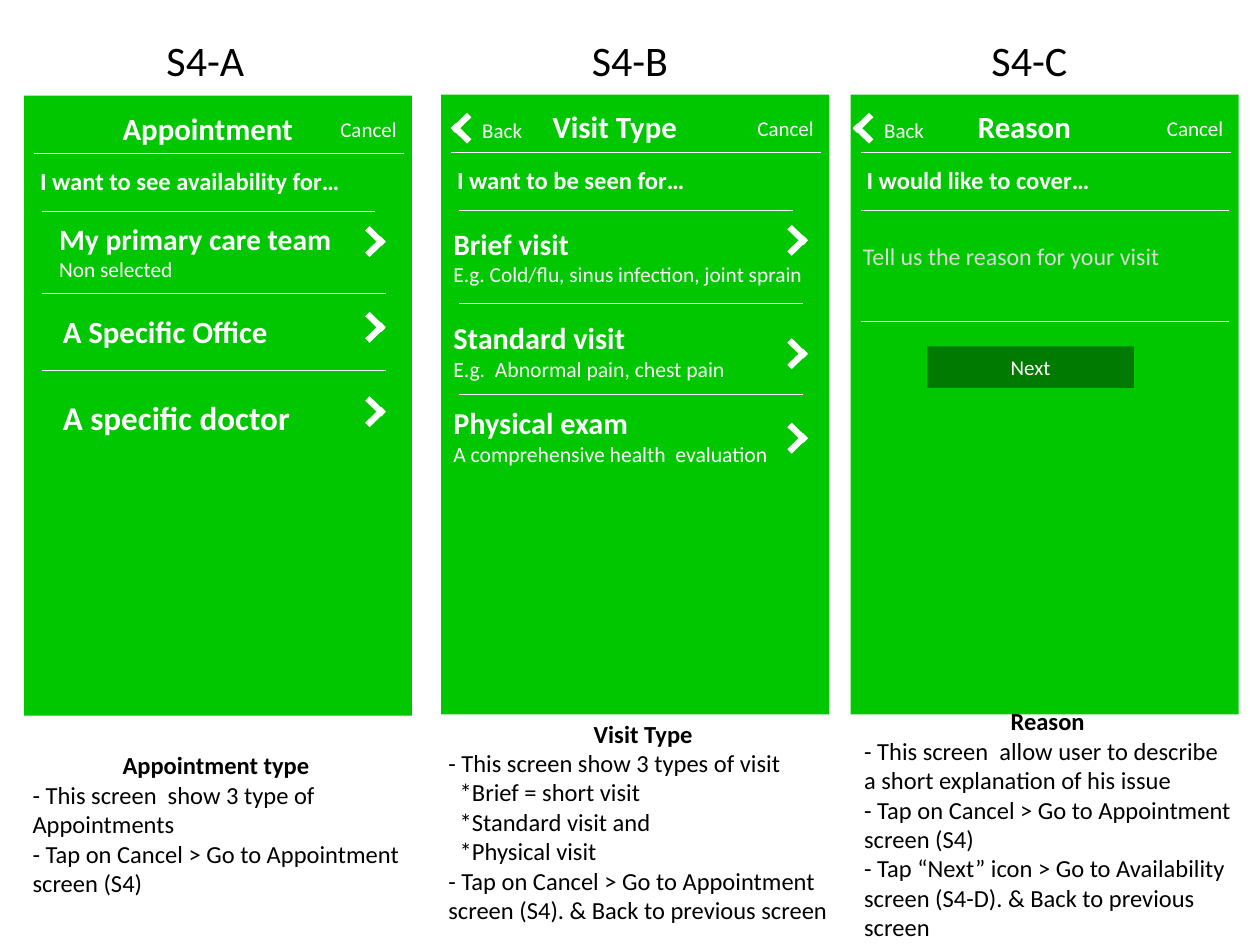
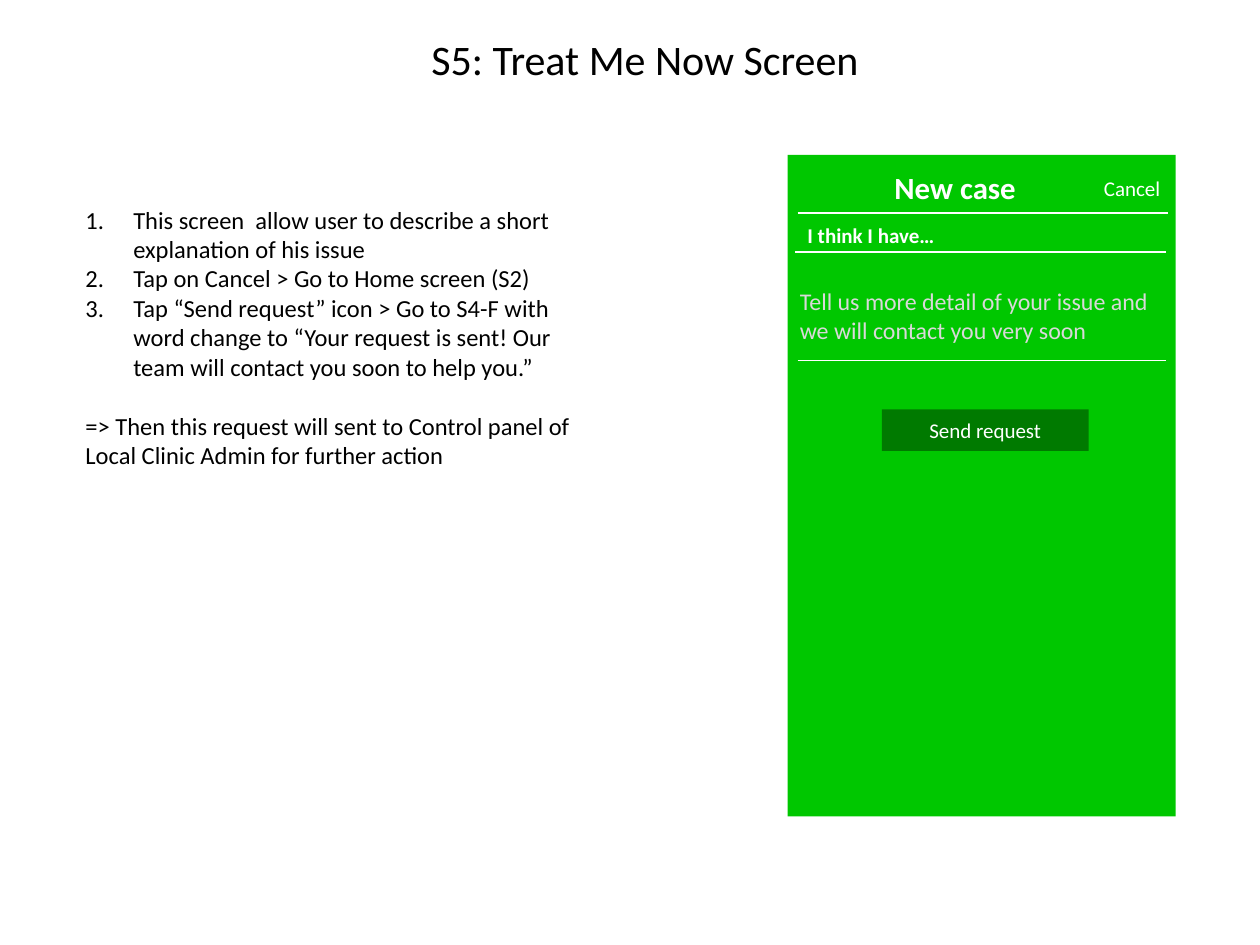
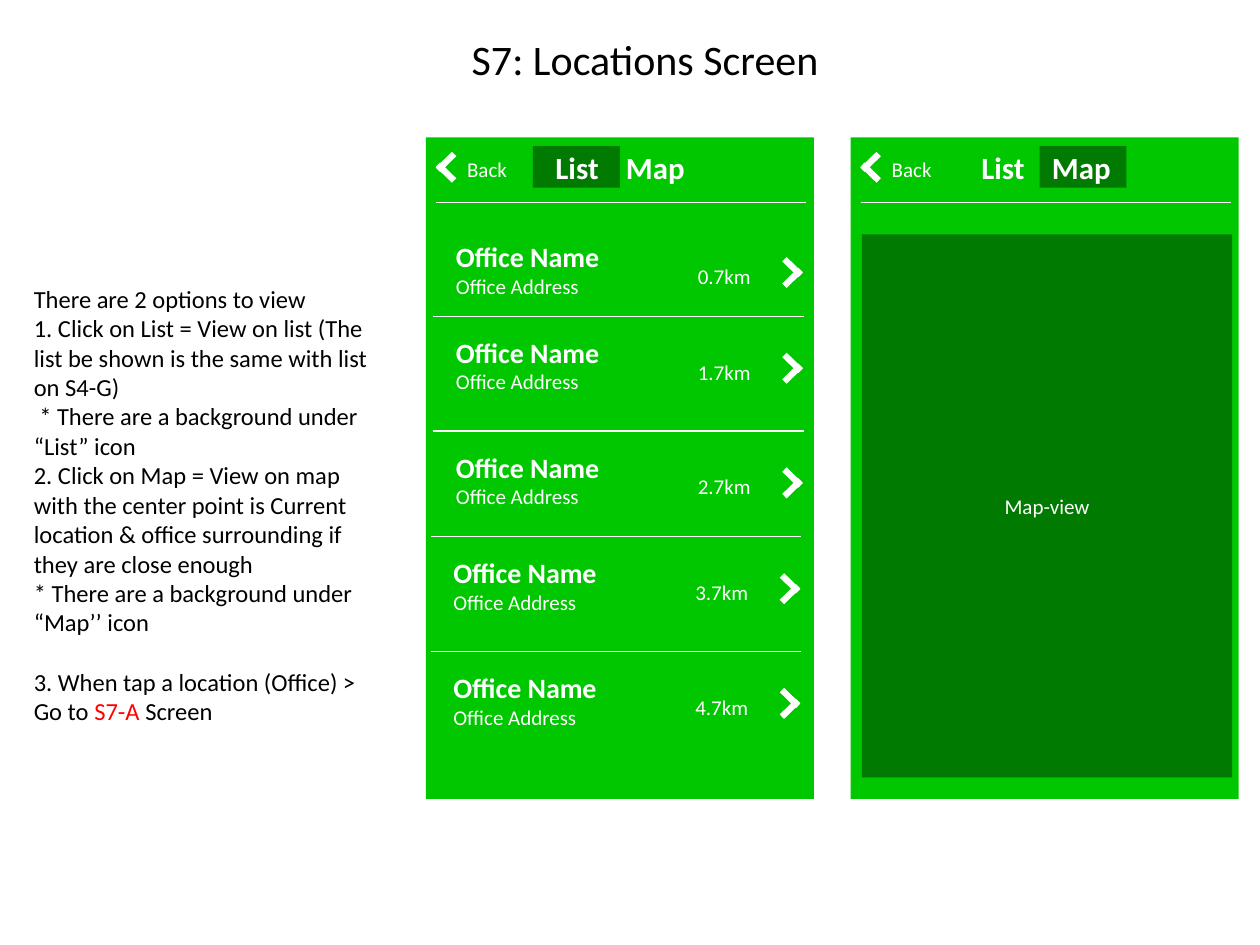
from lxml import etree
from pptx import Presentation
from pptx import util as u
from pptx.dml.color import RGBColor
from pptx.enum import shapes, text
from pptx.oxml import ns

GREEN = RGBColor(0x00, 0xC7, 0x00)
DARK_GREEN = RGBColor(0x00, 0x7A, 0x00)
WHITE = RGBColor(0xFF, 0xFF, 0xFF)
GREY = RGBColor(0xD9, 0xD9, 0xD9)
BLACK = RGBColor(0x00, 0x00, 0x00)
RED = RGBColor(0xFF, 0x00, 0x00)

CENTER = text.PP_ALIGN.CENTER
SCREEN_WIDTH = 3.08
RULE_WIDTH = 2.94
TILT = 44.3

PAGE_TITLE = dict(size=24, color=BLACK)
NOTE = dict(size=14, color=BLACK)
NOTE_HEADING = dict(NOTE, bold=True)
SMALL = dict(size=12, color=WHITE)
SCREEN_TITLE = dict(size=17.6, color=WHITE, bold=True)
PROMPT = dict(size=14, color=WHITE, bold=True)
HINT = dict(size=13.7, color=GREY)
OFFICE = dict(size=16, color=WHITE, bold=True)


def inches(*lengths):
    """Convert numbers to inch lengths."""
    return [u.Inches(length) for length in lengths]


def add_run(paragraph, words, size, color, **style):
    """Append a run in the deck font."""
    run = paragraph.add_run()
    run.text = words
    font_values = dict(name="Calibri", size=u.Pt(size), **style)
    for key, value in font_values.items():
        setattr(run.font, key, value)
    run.font.color.rgb = color


def write(frame, lines, align=None):
    """Fill a middle-anchored frame with (words, font) lines."""
    frame_values = dict(word_wrap=True, vertical_anchor=text.MSO_ANCHOR.MIDDLE)
    for key, value in frame_values.items():
        setattr(frame, key, value)
    for index, (words, font) in enumerate(lines):
        paragraph = frame.add_paragraph() if index else frame.paragraphs[0]
        paragraph.alignment = align
        add_run(paragraph, words, **font)


def label(slide, at, *lines, align=None):
    """Add a text box and return its paragraphs."""
    frame = slide.shapes.add_textbox(*inches(*at)).text_frame
    write(frame, lines, align)
    return frame.paragraphs


def block(slide, at, color, caption=None, rotation=0):
    """Add a plain filled rectangle with an optional caption."""
    rectangle = slide.shapes.add_shape(shapes.MSO_SHAPE.RECTANGLE, *inches(*at))
    rectangle.shadow.inherit = False
    rectangle.rotation = rotation
    rectangle.fill.solid()
    rectangle.fill.fore_color.rgb = color
    rectangle.line.fill.background()
    if caption:
        write(rectangle.text_frame, [(caption, SMALL)], CENTER)


def rule(slide, left, top, width=RULE_WIDTH, weight=0.75):
    """Draw a horizontal white separator."""
    separator = slide.shapes.add_connector(
        shapes.MSO_CONNECTOR.STRAIGHT, *inches(left, top, left + width, top))
    separator.line.color.rgb = WHITE
    separator.line.width = u.Pt(weight)
    etree.SubElement(separator._element.spPr, ns.qn("a:effectLst"))


def chevron(slide, left, top, points_right=True):
    """Build an arrow tip from two tilted bars."""
    upper = TILT if points_right else 360 - TILT
    for drop, rotation in ((0, upper), (0.085, 360 - upper)):
        block(slide, (left, top + drop, 0.18, 0.05), WHITE, rotation=rotation)


def page_title(slide, words, left=2.58, top=0.24, width=5.08):
    """Add the heading above a page or a screen."""
    label(slide, (left, top, width, 0.45), (words, PAGE_TITLE), align=CENTER)


def screen(slide, left, top, height, rule_drop=0.46):
    """Draw a phone screen and its header rule."""
    block(slide, (left, top, SCREEN_WIDTH, height), GREEN)
    rule(slide, left + 0.08, top + rule_drop)


def cancel(slide, left, top):
    """Add the Cancel action of a screen."""
    label(slide, (left + 2.39, top + 0.13, 0.69, 0.27), ("Cancel", SMALL), align=CENTER)


def back(slide, left, top):
    """Add the Back action with its arrow tip."""
    label(slide, (left, top, 0.69, 0.27), ("Back", SMALL), align=CENTER)
    chevron(slide, left - 0.07, top + 0.05, points_right=False)


def option(slide, left, top, width, name, size, detail=None, detail_size=12.2):
    """Add a choice with an optional detail line."""
    lines = [(name, dict(size=size, color=WHITE, bold=True))]
    if detail:
        lines.append((detail, dict(size=detail_size, color=WHITE)))
    label(slide, (left, top, width, 0.53), *lines)


def note(slide, at, heading, *lines):
    """Describe a screen below it."""
    paragraphs = label(slide, at, (heading, NOTE_HEADING), *((line, NOTE) for line in lines))
    paragraphs[0].alignment = CENTER
    for paragraph in paragraphs:
        if paragraph.text.startswith("*"):
            paragraph._p.get_or_add_pPr().set("marL", str(u.Inches(0.09)))


def number(paragraph):
    """Turn a paragraph into a numbered item."""
    properties = paragraph._p.get_or_add_pPr()
    for key, indent in dict(marL=0.38, indent=-0.38).items():
        properties.set(key, str(u.Inches(indent)))
    etree.SubElement(properties, ns.qn("a:buAutoNum"), type="arabicPeriod")


def view_tabs(slide, left, highlight_left):
    """Add the List and Map tabs with one highlighted."""
    block(slide, (highlight_left, 1.16, 0.69, 0.33), DARK_GREEN)
    paragraph, = label(slide, (left, 1.11, 1.58, 0.43), ("List\tMap", SCREEN_TITLE))
    stops = etree.SubElement(paragraph._p.get_or_add_pPr(), ns.qn("a:tabLst"))
    etree.SubElement(stops, ns.qn("a:tab"), pos=str(u.Inches(0.56)), algn="l")


def office(slide, left, top, distance):
    """Add one office of the location list."""
    label(slide, (left, top, 2.67, 0.75), ("Office Name", OFFICE), ("Office Address", SMALL))
    label(slide, (left + 1.92, top + 0.28, 0.7, 0.3), (distance, SMALL))
    chevron(slide, left + 2.68, top + 0.335)


def appointment_slide(slide):
    """Build the three appointment screens."""
    screens = (
        ("S4-A", 1.13, 0.19, 0.76, "Appointment", 0.86, 1.58, "I want to see availability for…"),
        ("S4-B", 4.5, 3.5, 0.75, "Visit Type", 3.92, 1.92, "I want to be seen for…"),
        ("S4-C", 7.67, 6.75, 0.75, "Reason", 7.17, 1.92, "I would like to cover…"),
    )
    for code, code_left, left, top, title, title_left, title_width, prompt in screens:
        page_title(slide, code, code_left, 0.25, 1)
        screen(slide, left, top, 4.92)
        cancel(slide, left, top)
        label(slide, (title_left, top + 0.04, title_width, 0.43), (title, SCREEN_TITLE), align=CENTER)
        label(slide, (left + 0.03, top + 0.54, 3.02, 0.27), (prompt, PROMPT))
    for left in (3.64, 6.83):
        back(slide, left, 0.9)

    for left, top, width in ((0.33, 1.68, 2.65), (0.33, 2.33, 2.73), (0.33, 2.94, 2.73),
                             (3.64, 1.67, 2.65), (3.64, 2.41, 2.73), (3.64, 3.13, 2.73),
                             (6.83, 1.67, 2.92), (6.83, 2.55, 2.92)):
        rule(slide, left, top, width, 0.25)
    for left, tops in ((2.89, (1.85, 2.53, 3.2)), (6.24, (1.84, 2.74, 3.41))):
        for top in tops:
            chevron(slide, left, top)

    option(slide, 0.37, 1.73, 2.52, "My primary care team", 16.9, "Non selected")
    option(slide, 0.4, 2.36, 2.1, "A Specific Office", 17.6)
    option(slide, 0.4, 3.05, 2.1, "A specific doctor", 18.9)
    option(slide, 3.5, 1.77, 3.02, "Brief visit", 16.9, "E.g. Cold/flu, sinus infection, joint sprain")
    option(slide, 3.5, 2.52, 2.94, "Standard visit", 17.3, "E.g.  Abnormal pain, chest pain", 12.4)
    option(slide, 3.5, 3.19, 2.94, "Physical exam", 17.3, "A comprehensive health  evaluation", 12.4)
    label(slide, (6.75, 1.77, 3.02, 0.53), ("Tell us the reason for your visit", HINT))
    block(slide, (7.36, 2.75, 1.64, 0.33), DARK_GREEN, "Next")

    note(slide, (0.16, 5.75, 3.11, 1.58), "Appointment type",
         "- This screen  show 3 type of Appointments",
         "- Tap on Cancel > Go to Appointment screen (S4)")
    note(slide, (3.46, 5.73, 3.29, 1.58), "Visit Type",
         "- This screen show 3 types of visit",
         "*Brief = short visit", "*Standard visit and", "*Physical visit",
         "- Tap on Cancel > Go to Appointment screen (S4). & Back to previous screen")
    note(slide, (6.76, 5.75, 3.11, 1.58), "Reason",
         "- This screen  allow user to describe a short explanation of his issue",
         "- Tap on Cancel > Go to Appointment screen (S4)",
         "- Tap “Next” icon > Go to Availability screen (S4-D). & Back to previous screen")


def treatment_slide(slide):
    """Build the new case screen and its steps."""
    page_title(slide, "S5: Treat Me Now Screen")
    screen(slide, 6.25, 1.23, 5.25)
    cancel(slide, 6.25, 1.23)
    label(slide, (7, 1.27, 1.58, 0.43), ("New case", SCREEN_TITLE))
    label(slide, (6.31, 1.73, 3.02, 0.27), ("I think I have…", dict(SMALL, bold=True)))
    rule(slide, 6.31, 2)
    label(slide, (6.25, 2.14, 3.02, 0.72),
          ("Tell us more detail of your issue and we will contact you very soon", HINT))
    rule(slide, 6.33, 2.86, 2.92, 0.25)
    block(slide, (7, 3.25, 1.64, 0.33), DARK_GREEN, "Send request")

    *steps, outcome = label(
        slide, (0.58, 1.35, 4.17, 2.65),
        ("This screen  allow user to describe a short explanation of his issue", NOTE),
        ("Tap on Cancel > Go to Home screen (S2)", NOTE),
        ("Tap “Send request” icon > Go to S4-F with word change to “Your request is sent! "
         "Our team will contact you soon to help you.”", NOTE),
        ("=> Then this request will sent to Control panel of Local Clinic Admin for further action", NOTE))
    for step in steps:
        number(step)
    outcome.space_before = u.Pt(17)


def locations_slide(slide):
    """Build the list and map views of the locations."""
    page_title(slide, "S7: Locations Screen")
    for left, back_left, tabs_left, highlight_left in ((3.38, 3.52, 4.31, 4.23),
                                                       (6.75, 6.89, 7.69, 8.25)):
        screen(slide, left, 1.09, 5.25, 0.52)
        back(slide, back_left, 1.21)
        view_tabs(slide, tabs_left, highlight_left)

    for index, (left, top) in enumerate(((3.52, 1.76), (3.52, 2.52), (3.52, 3.43),
                                         (3.5, 4.27), (3.5, 5.18))):
        office(slide, left, top, f"{index}.7km")
        if index:
            rule(slide, left - 0.08, top - 0.01)
    block(slide, (6.84, 1.86, 2.94, 4.31), DARK_GREEN, "Map-view")

    paragraphs = label(
        slide, (0.17, 1.09, 3, 5.83),
        ("There are 2 options to view", NOTE),
        ("1. Click on List = View on list (The list be shown is the same with list on S4-G)", NOTE),
        (" * There are a background under “List” icon", NOTE),
        ("2. Click on Map = View on map with the center point is Current location "
         "& office surrounding if they are close enough", NOTE),
        ("* There are a background under “Map’’ icon", NOTE),
        ("3. When tap a location (Office) > Go to ", NOTE))
    last_step = paragraphs[-1]
    last_step.space_before = u.Pt(17)
    add_run(last_step, "S7-A", **dict(NOTE, color=RED))
    add_run(last_step, " Screen", **NOTE)


def main():
    """Build and save the presentation."""
    deck = Presentation()
    deck.slide_width, deck.slide_height = inches(10, 7.5)
    for build in (appointment_slide, treatment_slide, locations_slide):
        build(deck.slides.add_slide(deck.slide_layouts[6]))
    deck.save("out.pptx")


if __name__ == "__main__":
    main()
